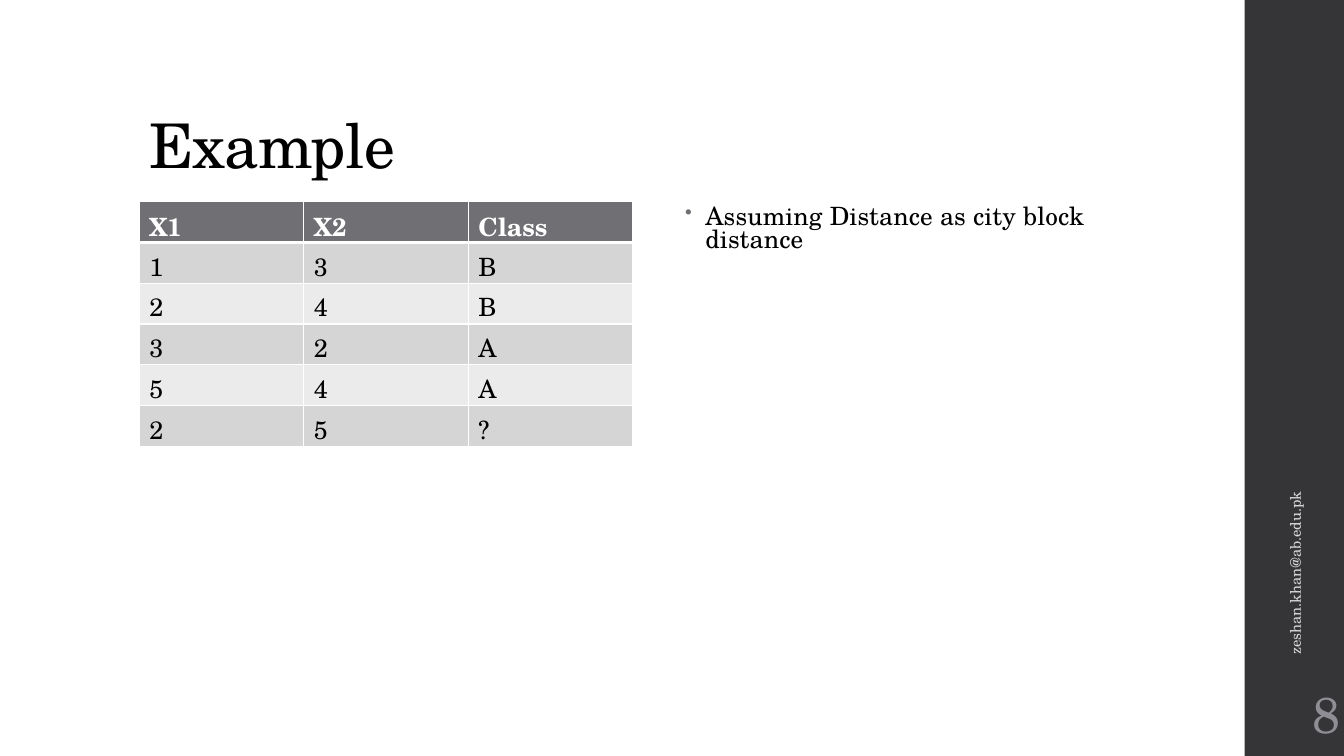
from lxml import etree
from pptx import Presentation
from pptx.dml.color import RGBColor
from pptx.enum.shapes import MSO_SHAPE
from pptx.enum.text import MSO_ANCHOR, PP_ALIGN
from pptx.oxml.ns import qn
from pptx.util import Pt

RECT = MSO_SHAPE.RECTANGLE
TOP, MIDDLE, BOTTOM = MSO_ANCHOR.TOP, MSO_ANCHOR.MIDDLE, MSO_ANCHOR.BOTTOM
LEFT, RIGHT = PP_ALIGN.LEFT, PP_ALIGN.RIGHT

WHITE, BLACK, GREY, DARK = "FFFFFF", "000000", "6F6F74", "353537"
BANDS = ("D5D5D6", "EBEBEB")
ROWS = [
    ("X1", "X2", "Class"),
    ("1", "3", "B"),
    ("2", "4", "B"),
    ("3", "2", "A"),
    ("5", "4", "A"),
    ("2", "5", "?"),
]


def rgb(value):
    return RGBColor.from_string(value)


class SlideBuilder:
    font = "TeX Gyre Schola"

    def __init__(self, slide):
        self.shapes = slide.shapes

    def style(self, p, size, color, bold=False, spacing=0):
        for r in p.runs:
            r.font.name = self.font
            r.font.size = Pt(size)
            r.font.bold = bold
            r.font.color.rgb = rgb(color)
            if spacing:
                r.font._element.set("spc", str(round(spacing * 100)))

    def rect(self, x, y, w, h, fill):
        sp = self.shapes.add_shape(RECT, Pt(x), Pt(y), Pt(w), Pt(h))
        sp.shadow.inherit = False
        sp.fill.solid()
        sp.fill.fore_color.rgb = rgb(fill)
        sp.line.fill.background()

    def text(self, x, y, w, h, text, size, color, anchor=TOP, align=LEFT,
             line_spacing=1.0, spacing=0, rotation=0, inset=None):
        sp = self.shapes.add_textbox(Pt(x), Pt(y), Pt(w), Pt(h))
        sp.rotation = rotation
        tf = sp.text_frame
        tf.word_wrap = True
        tf.vertical_anchor = anchor
        if inset is not None:
            tf.margin_left = tf.margin_right = Pt(inset)
            tf.margin_top = tf.margin_bottom = Pt(inset)
        tf.text = text
        p = tf.paragraphs[0]
        p.alignment = align
        p.line_spacing = line_spacing
        self.style(p, size, color, spacing=spacing)
        return p

    def bullet(self, p, indent, color, percent):
        pPr = p._p.get_or_add_pPr()
        pPr.set("marL", str(Pt(indent)))
        pPr.set("indent", str(-Pt(indent)))
        clr = etree.SubElement(pPr, qn("a:buClr"))
        etree.SubElement(clr, qn("a:srgbClr"), val=color)
        etree.SubElement(pPr, qn("a:buSzPct"), val=str(percent * 1000))
        etree.SubElement(pPr, qn("a:buChar"), char="•")

    def border(self, cell, side, width):
        tcPr = cell._tc.get_or_add_tcPr()
        ln = etree.Element(qn(f"a:ln{side}"), w=str(Pt(width)))
        fill = etree.SubElement(ln, qn("a:solidFill"))
        etree.SubElement(fill, qn("a:srgbClr"), val=WHITE)
        tcPr.insert(len(tcPr) - 1, ln)

    def table(self, x, y, w, h, rows):
        frame = self.shapes.add_table(len(rows), len(rows[0]),
                                      Pt(x), Pt(y), Pt(w), Pt(h))
        for i, row in enumerate(rows):
            header = i == 0
            for j, value in enumerate(row):
                cell = frame.table.cell(i, j)
                cell.text_frame.text = value
                self.style(cell.text_frame.paragraphs[0], 18,
                           WHITE if header else BLACK, bold=header)
                cell.fill.solid()
                cell.fill.fore_color.rgb = rgb(GREY if header else BANDS[(i - 1) % 2])
                for side in "LRTB":
                    thick = (header and side == "B") or (i == 1 and side == "T")
                    self.border(cell, side, 3 if thick else 1)


def main():
    prs = Presentation()
    prs.slide_width, prs.slide_height = Pt(960), Pt(540)
    s = SlideBuilder(prs.slides.add_slide(prs.slide_layouts[6]))

    s.rect(889, 0, 72, 540, DARK)
    s.text(99.4, 28.8, 763.2, 104.4, "Example", 44, BLACK,
           anchor=BOTTOM, line_spacing=0.9, spacing=-0.5)
    s.table(99.4, 144, 352.8, 175, ROWS)
    note = s.text(482.4, 144, 352.8, 342.7, "Assuming Distance as city block distance",
                  18, BLACK, line_spacing=0.78, spacing=0.1)
    s.bullet(note, 14.4, GREY, 80)
    s.text(784, 319, 282.2, 28.8, "zeshan.khan@ab.edu.pk", 10.5, "D9D9DB",
           anchor=MIDDLE, rotation=270)
    s.text(889, 486, 72, 46.8, "8", 36, "8E8E94",
           anchor=MIDDLE, align=RIGHT, inset=3.6)

    prs.save("out.pptx")


if __name__ == "__main__":
    main()
